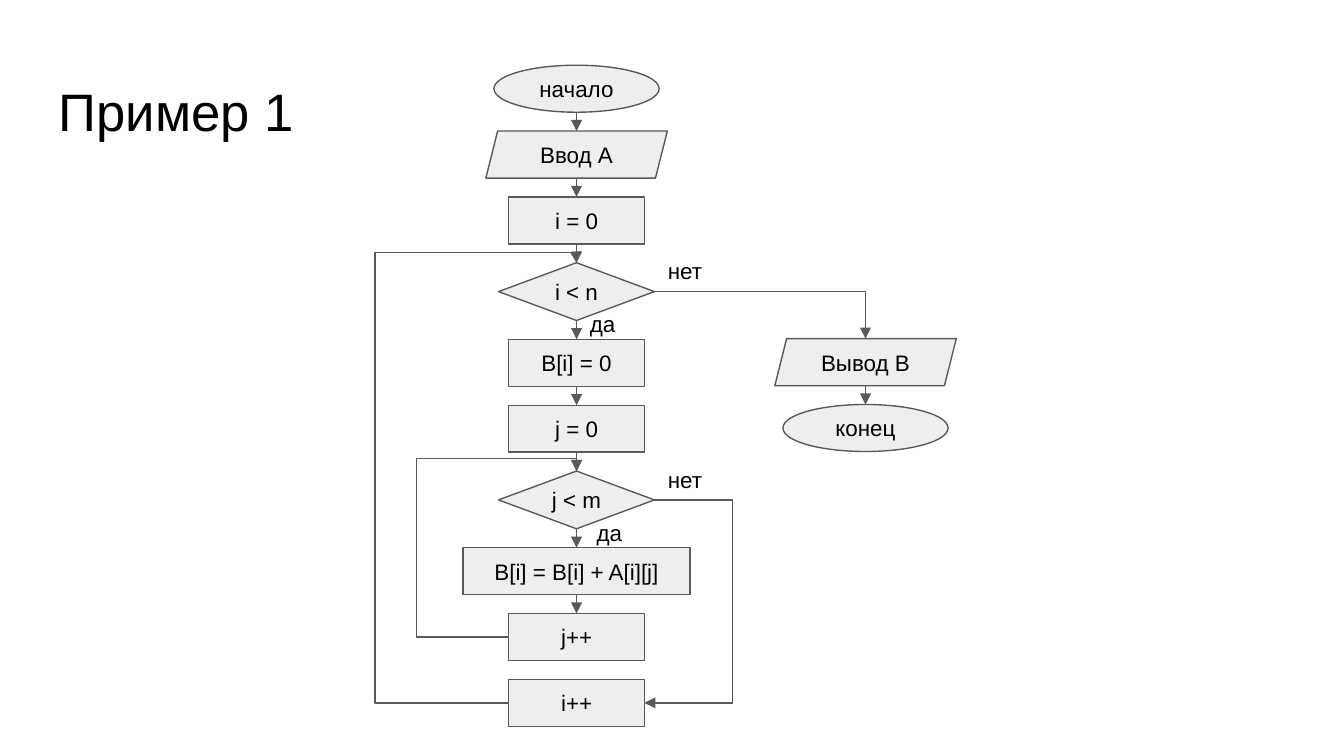
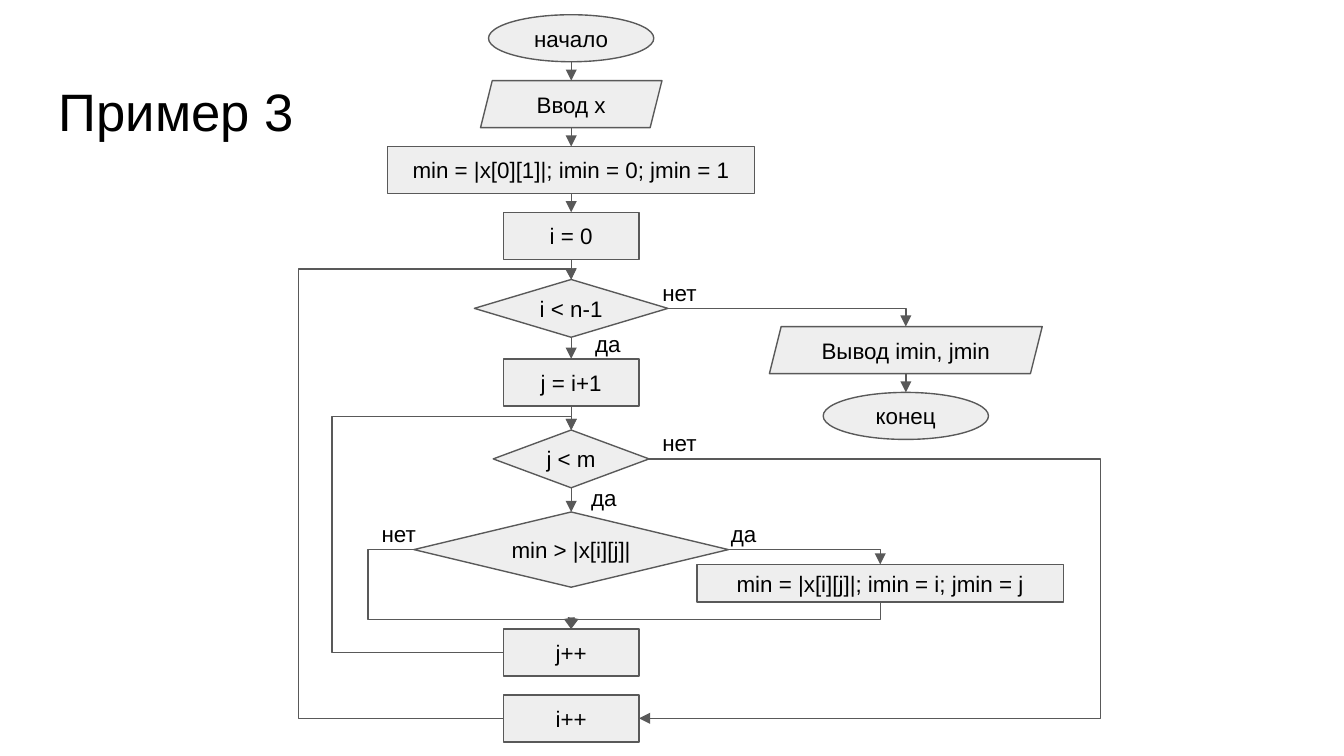
from dataclasses import dataclass
from typing import Optional

from lxml import etree
from pptx import Presentation
from pptx.dml.color import RGBColor
from pptx.enum.shapes import MSO_CONNECTOR, MSO_SHAPE
from pptx.enum.text import MSO_ANCHOR, PP_ALIGN
from pptx.oxml.ns import qn
from pptx.util import Inches, Pt

SLIDE_WIDTH, SLIDE_HEIGHT = Inches(10), Inches(5.625)
COLUMN, ROW = SLIDE_WIDTH / 100, SLIDE_HEIGHT / 56.25
COLORS = {"fill": "EEEEEE", "line": "595959", "text": "000000"}
FONT = "Arial"
TITLE_SIZE, BODY_SIZE, LINE_WIDTH = 28.2, 12, 0.75
INSET = Inches(0.1)

TERMINAL = MSO_SHAPE.OVAL
DATA = MSO_SHAPE.PARALLELOGRAM
PROCESS = MSO_SHAPE.RECTANGLE
DECISION = MSO_SHAPE.DIAMOND
STRAIGHT, ELBOW = MSO_CONNECTOR.STRAIGHT, MSO_CONNECTOR.ELBOW
CENTER, LEFT_ALIGN = PP_ALIGN.CENTER, PP_ALIGN.LEFT
MIDDLE, TOP_ANCHOR = MSO_ANCHOR.MIDDLE, MSO_ANCHOR.TOP
TOP, LEFT, BOTTOM, RIGHT = range(4)

STEP_SIZES = {TERMINAL: (12.3, 3.5), DATA: (13.5, 3.5),
              PROCESS: (10.1, 3.5), DECISION: (11.6, 4.3)}
YES, NO = "да", "нет"
LABEL_WIDTHS = {YES: 4.1, NO: 5.1}


@dataclass(frozen=True)
class Step:
    kind: int
    text: str
    width: Optional[float] = None
    height: Optional[float] = None
    gap: float = 1.4
    arrow: bool = True


@dataclass(frozen=True)
class Chain:
    """Steps stacked on one vertical axis, each a gap below the one before."""
    axis: float
    top: float
    steps: tuple[Step, ...]


@dataclass(frozen=True)
class Bend:
    """An elbow arrow that runs along the given column and row, if any."""
    start: str
    start_side: int
    end: str
    end_side: int = TOP
    column: Optional[float] = None
    row: Optional[float] = None


@dataclass(frozen=True)
class Label:
    text: str
    column: float
    row: float


@dataclass(frozen=True)
class Flowchart:
    title: str
    chains: tuple[Chain, ...]
    bends: tuple[Bend, ...]
    labels: tuple[Label, ...]


FLOWCHARTS = (
    Flowchart(
        "Пример 1",
        (Chain(42.9, 4.85, (
            Step(TERMINAL, "начало"),
            Step(DATA, "Ввод A"),
            Step(PROCESS, "i = 0"),
            Step(DECISION, "i < n"),
            Step(PROCESS, "B[i] = 0"),
            Step(PROCESS, "j = 0"),
            Step(DECISION, "j < m"),
            Step(PROCESS, "B[i] = B[i] + A[i][j]", width=16.9),
            Step(PROCESS, "j++"),
            Step(PROCESS, "i++", arrow=False))),
         Chain(64.4, 25.2, (
             Step(DATA, "Вывод B"),
             Step(TERMINAL, "конец")))),
        (Bend("j++", LEFT, "j < m", column=31, row=34.1),
         Bend("j < m", RIGHT, "i++", RIGHT, column=54.5),
         Bend("i++", LEFT, "i < n", column=27.9, row=18.8),
         Bend("i < n", RIGHT, "Вывод B")),
        (Label(YES, 42.9, 22.1), Label(YES, 43.4, 37.6),
         Label(NO, 48.7, 18.1), Label(NO, 48.7, 33.7))),
    Flowchart(
        "Пример 3",
        (Chain(42.5, 1.1, (
            Step(TERMINAL, "начало"),
            Step(DATA, "Ввод x"),
            Step(PROCESS, "min = |x[0][1]|; imin = 0; jmin = 1", width=27.3),
            Step(PROCESS, "i = 0"),
            Step(DECISION, "i < n-1", width=14.4, gap=1.5),
            Step(PROCESS, "j = i+1", gap=1.6),
            Step(DECISION, "j < m", gap=1.8),
            Step(DECISION, "min > |x[i][j]|", width=23.4, height=5.6, gap=1.8),
            Step(PROCESS, "j++", gap=3.1, arrow=False),
            Step(PROCESS, "i++", arrow=False))),
         Chain(67.4, 24.3, (
             Step(DATA, "Вывод imin, jmin", width=20.3),
             Step(TERMINAL, "конец"))),
         Chain(65.5, 42, (
             Step(PROCESS, "min = |x[i][j]|; imin = i; jmin = j",
                  width=27.3, height=2.8),))),
        (Bend("j++", LEFT, "j < m", column=24.7, row=31),
         Bend("j < m", RIGHT, "i++", RIGHT, column=81.8),
         Bend("i++", LEFT, "i < n-1", column=22.2, row=20),
         Bend("i < n-1", RIGHT, "Вывод imin, jmin"),
         Bend("min > |x[i][j]|", RIGHT, "min = |x[i][j]|; imin = i; jmin = j"),
         Bend("min = |x[i][j]|; imin = i; jmin = j", BOTTOM, "j++", row=46.1),
         Bend("min > |x[i][j]|", LEFT, "j++", column=27.4, row=46.1)),
        (Label(YES, 43.3, 23.6), Label(YES, 53.4, 37.7), Label(YES, 43, 35),
         Label(NO, 48.3, 19.8), Label(NO, 27.4, 37.7), Label(NO, 48.3, 30.9))),
)


def grid_box(column: float, row: float, width: float, height: float) -> tuple[int, ...]:
    return (round(column * COLUMN), round(row * ROW),
            round(width * COLUMN), round(height * ROW))


def write_text(shape, text: str, size: float, alignment=LEFT_ALIGN, anchor=TOP_ANCHOR) -> None:
    frame = shape.text_frame
    frame.word_wrap = True
    frame.vertical_anchor = anchor
    frame.margin_left = frame.margin_right = INSET
    frame.margin_top = frame.margin_bottom = INSET
    paragraph = frame.paragraphs[0]
    paragraph.alignment = alignment
    run = paragraph.add_run()
    run.text = text
    run.font.name = FONT
    run.font.size = Pt(size)
    run.font.color.rgb = RGBColor.from_string(COLORS["text"])


def style_line(line) -> None:
    line.color.rgb = RGBColor.from_string(COLORS["line"])
    line.width = Pt(LINE_WIDTH)


def draw_step(slide, step: Step, axis: float, top: float, width: float, height: float):
    shape = slide.shapes.add_shape(
        step.kind, *grid_box(axis - width / 2, top, width, height))
    shape.shadow.inherit = False
    shape.fill.solid()
    shape.fill.fore_color.rgb = RGBColor.from_string(COLORS["fill"])
    style_line(shape.line)
    write_text(shape, step.text, BODY_SIZE, CENTER, MIDDLE)
    return shape


def side_point(shape, side: int) -> tuple[int, int]:
    across = {LEFT: 0, RIGHT: shape.width}.get(side, shape.width // 2)
    down = {TOP: 0, BOTTOM: shape.height}.get(side, shape.height // 2)
    return shape.left + across, shape.top + down


def draw_arrow(slide, kind: int, start, start_side: int, end, end_side: int):
    connector = slide.shapes.add_connector(
        kind, *side_point(start, start_side), *side_point(end, end_side))
    # Ovals and parallelograms number every side but the top differently.
    four_sided = (PROCESS, DECISION)
    if start.auto_shape_type in four_sided:
        connector.begin_connect(start, start_side)
    if end.auto_shape_type in four_sided or end_side == TOP:
        connector.end_connect(end, end_side)
    style_line(connector.line)
    line = connector.line._get_or_add_ln()
    etree.SubElement(line, qn("a:tailEnd"), type="triangle")
    etree.SubElement(connector._element.spPr, qn("a:effectLst"))
    return connector


def draw_bend(slide, bend: Bend, steps: dict) -> None:
    start, end = steps[bend.start], steps[bend.end]
    connector = draw_arrow(slide, ELBOW, start, bend.start_side, end, bend.end_side)
    start_x, start_y = side_point(start, bend.start_side)
    end_x, end_y = side_point(end, bend.end_side)
    shares = []
    if bend.column is not None:
        shares.append((bend.column * COLUMN - start_x) / (end_x - start_x))
    if bend.row is not None:
        shares.append((bend.row * ROW - start_y) / (end_y - start_y))

    properties = connector._element.spPr
    transform = properties.find(qn("a:xfrm"))
    if bend.start_side == BOTTOM:
        turn_to_vertical(connector, transform)
    elif transform.get("flipV") == "1":
        # A half turn with a mirror equals a vertical flip.
        del transform.attrib["flipV"]
        transform.set("rot", "10800000")
        transform.set("flipH", "1")

    geometry = properties.find(qn("a:prstGeom"))
    geometry.set("prst", f"bentConnector{len(shares) + 2}")
    for guide_list in geometry.findall(qn("a:avLst")):
        geometry.remove(guide_list)
    guides = etree.SubElement(geometry, qn("a:avLst"))
    for number, share in enumerate(shares, 1):
        etree.SubElement(guides, qn("a:gd"), name=f"adj{number}",
                         fmla=f"val {round(share * 100000)}")


def turn_to_vertical(connector, transform) -> None:
    """Make an elbow that runs down and to the left start downwards."""
    width, height = connector.width, connector.height
    connector.left += (width - height) // 2
    connector.top += (height - width) // 2
    connector.width, connector.height = height, width
    transform.attrib.pop("flipH", None)
    transform.set("rot", "5400000")


def draw_chain(slide, chain: Chain) -> dict:
    shapes = {}
    previous, top = None, chain.top
    for step in chain.steps:
        usual_width, usual_height = STEP_SIZES[step.kind]
        height = step.height or usual_height
        if previous is not None:
            top += step.gap
        shape = draw_step(slide, step, chain.axis, top, step.width or usual_width, height)
        if previous is not None and step.arrow:
            draw_arrow(slide, STRAIGHT, previous, BOTTOM, shape, TOP)
        shapes[step.text] = previous = shape
        top += height
    return shapes


def draw_flowchart(slide, flowchart: Flowchart) -> None:
    title = slide.shapes.add_textbox(*grid_box(3.4, 4.9, 20.3, 6.3))
    write_text(title, flowchart.title, TITLE_SIZE)
    steps = {}
    for chain in flowchart.chains:
        steps.update(draw_chain(slide, chain))
    for bend in flowchart.bends:
        draw_bend(slide, bend, steps)
    for label in flowchart.labels:
        box = slide.shapes.add_textbox(
            *grid_box(label.column, label.row, LABEL_WIDTHS[label.text], 4))
        write_text(box, label.text, BODY_SIZE)


def main() -> None:
    presentation = Presentation()
    presentation.slide_width, presentation.slide_height = SLIDE_WIDTH, SLIDE_HEIGHT
    blank_layout = presentation.slide_layouts[6]
    for flowchart in FLOWCHARTS:
        draw_flowchart(presentation.slides.add_slide(blank_layout), flowchart)
    presentation.save("out.pptx")


if __name__ == "__main__":
    main()
